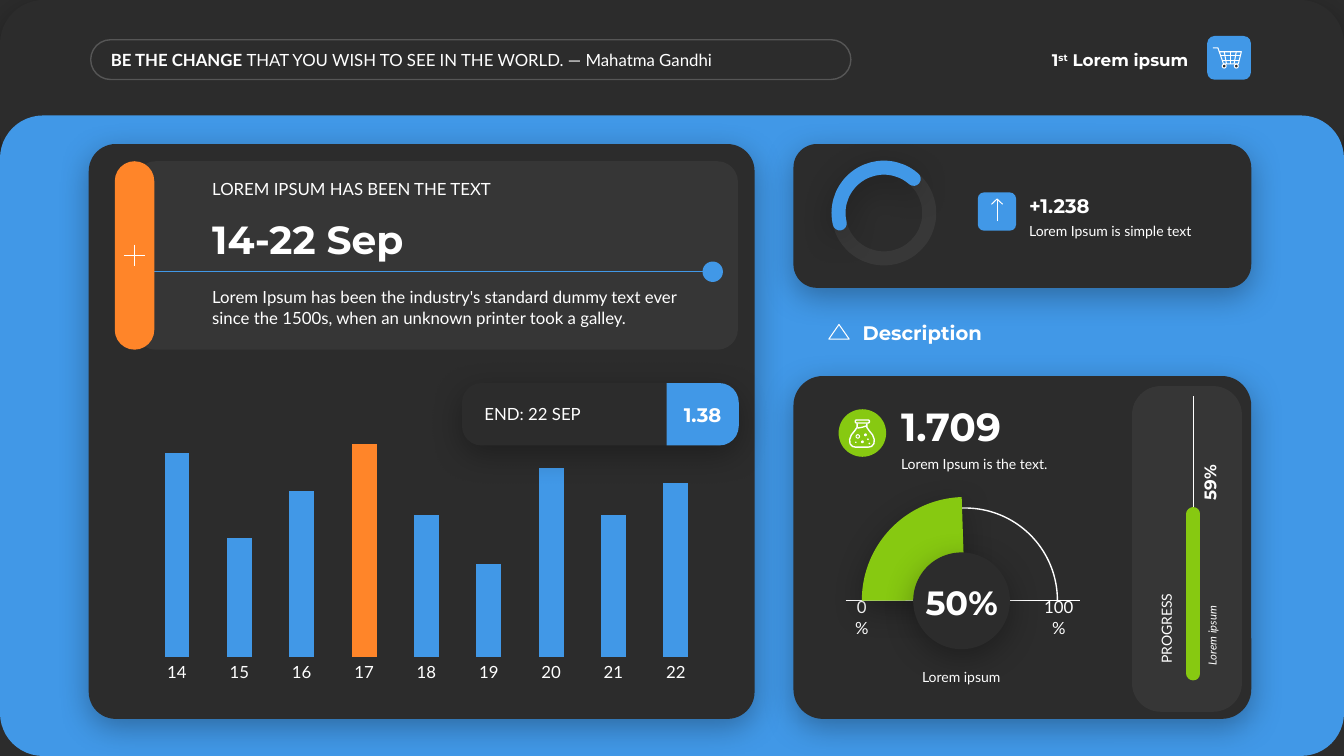
from lxml import etree
from pptx import Presentation
from pptx import util as u
from pptx.chart.data import CategoryChartData
from pptx.dml.color import RGBColor
from pptx.enum import chart as charts, shapes, text
from pptx.oxml import parse_xml
from pptx.oxml.ns import nsdecls, qn

DARK, BLUE, ORANGE, GREEN, WHITE = "2C2C2C", "4198E7", "FF8529", "87C911", "FFFFFF"
HEAD, BODY = "Montserrat", "Lato"
PRESET = shapes.MSO_SHAPE
ROUND = PRESET.ROUNDED_RECTANGLE
TOP, MIDDLE, BOTTOM = text.MSO_ANCHOR.TOP, text.MSO_ANCHOR.MIDDLE, text.MSO_ANCHOR.BOTTOM
LEFT, CENTER, RIGHT = text.PP_ALIGN.LEFT, text.PP_ALIGN.CENTER, text.PP_ALIGN.RIGHT
INSETS = (7.2, 3.6, 7.2, 3.6)


def rgb(color):
    return RGBColor.from_string(color)


def arc_angles(start, end):
    """Arc adjustments for two angles in degrees."""
    return start * 0.6, end * 0.6


class Dashboard:
    def __init__(self, slide):
        self.slide = slide
        self.items = slide.shapes
        slide.background.fill.solid()
        slide.background.fill.fore_color.rgb = rgb(DARK)

    def set_alpha(self, fill, percent):
        color = fill._xPr.find(".//" + qn("a:srgbClr"))
        etree.SubElement(color, qn("a:alpha"), val=str(percent * 1000))

    def paint(self, shape, fill=None, line=None, width=1, alpha=None, cap=None):
        """Alpha applies to the fill, or to the line when there is no fill."""
        shape.shadow.inherit = False
        if fill:
            shape.fill.solid()
            shape.fill.fore_color.rgb = rgb(fill)
        else:
            shape.fill.background()
        if line:
            shape.line.color.rgb = rgb(line)
            shape.line.width = u.Pt(width)
        else:
            shape.line.fill.background()
        if alpha:
            self.set_alpha(shape.fill if fill else shape.line.fill, alpha)
        if cap:
            shape.line._get_or_add_ln().set("cap", cap)

    def shape(self, preset, box, fill=None, adj=(), rotation=0, shadow=False, **look):
        item = self.items.add_shape(preset, *map(u.Pt, box))
        for i, value in enumerate(adj):
            item.adjustments[i] = value
        item.rotation = rotation
        self.paint(item, fill, **look)
        if shadow:
            effects = item._element.spPr.find(qn("a:effectLst"))
            effects.append(parse_xml(
                f'<a:outerShdw {nsdecls("a")} blurRad="{u.Pt(23)}" dist="{u.Pt(6)}" dir="5400000" '
                'algn="t" rotWithShape="0"><a:srgbClr val="000000"><a:alpha val="30000"/>'
                '</a:srgbClr></a:outerShdw>'))

    def line(self, start, end, color, width, cap="flat"):
        item = self.items.add_connector(shapes.MSO_CONNECTOR.STRAIGHT,
                                        *map(u.Pt, (*start, *end)))
        item.line.color.rgb = rgb(color)
        item.line.width = u.Pt(width)
        item.line._get_or_add_ln().set("cap", cap)
        etree.SubElement(item._element.spPr, qn("a:effectLst"))

    def strokes(self, *paths, width=0.75):
        """One icon drawn as open white polylines."""
        paths = [[tuple(map(u.Pt, point)) for point in path] for path in paths]
        builder = self.items.build_freeform(*paths[0][0])
        for i, path in enumerate(paths):
            if i:
                builder.move_to(*path[0])
            builder.add_line_segments(path[1:], close=False)
        self.paint(builder.convert_to_shape(), line=WHITE, width=width)

    def text(self, box, *parts, size=12, font=BODY, bold=False, italic=False, align=LEFT,
             anchor=TOP, insets=INSETS, rotation=0, grow=True):
        """Each part is a string or a (string, run attributes) pair."""
        item = self.items.add_textbox(*map(u.Pt, box))
        item.rotation = rotation
        frame = item.text_frame
        frame.word_wrap = True
        frame.auto_size = (text.MSO_AUTO_SIZE.SHAPE_TO_FIT_TEXT if grow
                           else text.MSO_AUTO_SIZE.NONE)
        frame.vertical_anchor = anchor
        (frame.margin_left, frame.margin_top,
         frame.margin_right, frame.margin_bottom) = map(u.Pt, insets)
        paragraph = frame.paragraphs[0]
        paragraph.alignment = align
        for part in parts:
            words, attributes = (part, {}) if isinstance(part, str) else part
            run = paragraph.add_run()
            run.text = words
            run.font.size, run.font.name = u.Pt(size), font
            run.font.bold, run.font.italic = bold, italic
            run.font.color.rgb = rgb(WHITE)
            for key, value in attributes.items():
                run._r.get_or_add_rPr().set(key, value)

    def columns(self, box, values, highlight):
        data = CategoryChartData()
        data.categories = list(values)
        data.add_series("Series 1", list(values.values()))
        chart = self.items.add_chart(charts.XL_CHART_TYPE.COLUMN_CLUSTERED,
                                     *map(u.Pt, box), data).chart
        chart.has_legend = chart.has_title = False
        chart.font.size, chart.font.name = u.Pt(12), BODY
        chart.font.color.rgb = rgb(WHITE)
        days, amounts = chart.category_axis, chart.value_axis
        days.major_tick_mark = charts.XL_TICK_MARK.NONE
        days.format.line.fill.background()
        amounts.visible = amounts.has_major_gridlines = False
        amounts.minimum_scale, amounts.maximum_scale = 0, 100
        plot = chart.plots[0]
        plot.gap_width, plot.vary_by_categories = 150, False
        series = plot.series[0]
        point = series.points[list(values).index(highlight)]
        for part, color in ((series, BLUE), (point, ORANGE)):
            part.format.fill.solid()
            part.format.fill.fore_color.rgb = rgb(color)
        area = chart._chartSpace.chart.plotArea
        for old in area.findall(qn("c:layout")):
            area.remove(old)
        sides = "".join(f'<c:{tag} val="{value}"/>' for tag, value in (
            ("layoutTarget", "inner"), ("xMode", "edge"), ("yMode", "edge"),
            ("x", 0.02), ("y", 0.11), ("w", 0.96), ("h", 0.78)))
        area.insert(0, parse_xml(f'<c:layout {nsdecls("c")}><c:manualLayout>{sides}'
                                 '</c:manualLayout></c:layout>'))


def draw_header(board):
    board.shape(ROUND, (0, 0, 960, 125), DARK, [0.25], shadow=True)
    board.shape(ROUND, (0, 82.5, 960, 457.5), BLUE, [0.067])
    board.shape(ROUND, (64.8, 28.4, 543, 28.4), adj=[0.5], line=WHITE, alpha=20)
    board.text((76.3, 31.9, 523, 21.8), ("BE THE CHANGE ", {"b": "1"}),
               "THAT YOU WISH TO SEE IN THE WORLD. ― Mahatma Gandhi",
               anchor=MIDDLE, insets=(2.9, 3.6, 2.9, 3.6))
    board.text((712, 31.9, 144, 21.8), "1", ("st", {"baseline": "30000"}), " Lorem ipsum",
               font=HEAD, bold=True, align=RIGHT, anchor=MIDDLE)
    board.shape(ROUND, (862.3, 25.7, 31.2, 31.2), BLUE)
    board.strokes([(866.3, 34.2), (870, 34.2), (874, 45.7), (884.6, 45.7), (886.7, 37), (871, 37)],
                  [(872, 40), (886, 40)], [(873, 43), (885.3, 43)],
                  [(874.5, 37), (876.1, 45.7)], [(878.8, 37), (878.8, 45.7)],
                  [(883.1, 37), (881.5, 45.7)])
    for wheel in (874.4, 883.1):
        board.shape(PRESET.OVAL, (wheel - 1.4, 45.8, 2.8, 2.8), DARK, line=WHITE, width=0.75)


def draw_period(board):
    board.shape(ROUND, (63.4, 102.9, 475.6, 410.6), DARK, [0.047], shadow=True)
    board.shape(ROUND, (96.5, 115.2, 430.6, 134.6), WHITE, [0.109], alpha=5)
    board.text((144.5, 201.6, 367, 36), "Lorem Ipsum has been the industry's standard dummy text "
               "ever since the 1500s, when an unknown printer took a galley.")
    board.text((144.5, 150, 367, 41), "14-22 Sep", size=28, font=HEAD, bold=True, anchor=BOTTOM)
    board.text((144.5, 124, 367, 21.8), "LOREM IPSUM HAS BEEN THE TEXT", anchor=BOTTOM)
    board.line((103.7, 194.1), (502, 194.1), BLUE, 0.5)
    board.shape(PRESET.OVAL, (501.8, 186.8, 14.6, 14.6), BLUE)
    board.shape(ROUND, (82, 115.2, 28.2, 134.6), ORANGE, [0.5])
    board.strokes([(88.4, 182.5), (103.8, 182.5)], [(96.1, 174.8), (96.1, 190.2)])
    board.columns((95.8, 295.9, 417.6, 195.1),
                  {"14": 96, "15": 56, "16": 78, "17": 100, "18": 67,
                   "19": 44, "20": 89, "21": 67, "22": 82}, highlight="17")
    board.shape(ROUND, (330, 273.6, 197.5, 44.6), DARK, [0.311], shadow=True)
    board.text((339, 285, 141, 21.8), "END: 22 SEP", anchor=MIDDLE)
    board.shape(PRESET.ROUND_2_SAME_RECTANGLE, (479.6, 270.1, 44.6, 51.6), BLUE,
                [0.311, 0], rotation=90)
    board.text((476, 283.8, 51.8, 24.2), "1.38", size=14, font=HEAD, bold=True,
               align=CENTER, anchor=MIDDLE, insets=(2.9, 3.6, 2.9, 3.6))


def draw_growth(board):
    board.shape(ROUND, (566.8, 102.9, 327, 102.7), DARK, [0.163], shadow=True)
    ring = (599, 119.8, 64.8, 64.8)
    board.shape(PRESET.OVAL, ring, line=WHITE, width=10, alpha=5)
    board.shape(PRESET.ARC, ring, adj=arc_angles(166.7, 311.2), line=BLUE, width=10,
                cap="rnd", shadow=True)
    board.shape(ROUND, (698.4, 137.4, 27.4, 27.4), BLUE)
    board.strokes([(712.2, 158.2), (712.2, 142.2)],
                  [(708.2, 146), (712.2, 142.2), (716.2, 146)])
    label_insets = (0, 3.6, 0, 3.6)
    board.text((735.1, 155.5, 142, 19.4), "Lorem Ipsum is simple text", size=10,
               insets=label_insets)
    board.text((735.1, 134.6, 142, 24.2), "+1.238", size=14, font=HEAD, bold=True,
               anchor=BOTTOM, insets=label_insets)
    board.text((609.1, 225.4, 238, 24.2), "Description", size=14, font=HEAD, bold=True,
               anchor=MIDDLE)
    board.shape(PRESET.ISOSCELES_TRIANGLE, (592, 231.8, 14.6, 10.5), line=WHITE, width=0.75)


def draw_flask(board):
    board.shape(PRESET.OVAL, (599, 292.3, 34, 34), GREEN)
    middle = 615.7
    half = [(3.5, 302.4), (3.5, 305.3), (5.4, 308), (7.6, 310.7), (8.8, 314),
            (8.5, 317), (6.8, 318.9), (4.5, 319.4)]
    board.strokes([(middle - dx, y) for dx, y in half]
                  + [(middle + dx, y) for dx, y in reversed(half)],
                  [(612.5, 305.8), (616, 305.2), (619, 304.2)], width=1)
    board.shape(ROUND, (610.9, 300, 10.2, 2.2), adj=[0.5], line=WHITE)
    board.shape(PRESET.OVAL, (611.5, 310.5, 2.5, 2.5), line=WHITE, width=0.75)
    for x, y, size in ((617.2, 309.6, 2), (615, 314.6, 2), (619.4, 313.2, 1.2),
                       (620.4, 316.2, 1.2), (610.8, 315.4, 1)):
        board.shape(PRESET.OVAL, (x, y, size, size), WHITE)


def draw_share(board):
    board.shape(ROUND, (566.8, 268.6, 327, 244.9), DARK, [0.086], shadow=True)
    board.shape(ROUND, (808.6, 275.8, 78.5, 232.6), WHITE, [0.261], alpha=5)
    board.text((636.5, 321.8, 129, 19.4), "Lorem Ipsum is the text.", size=10)
    board.text((636.5, 283.7, 129, 41), "1.709", size=28, font=HEAD, bold=True, anchor=BOTTOM)
    draw_flask(board)
    board.shape(PRESET.ARC, (623.5, 362.9, 131.8, 131.8), adj=arc_angles(179.82, 0), line=WHITE)
    board.line((604.1, 429.1), (771.8, 429.1), WHITE, 1)
    for left, width, limit in ((608.4, 14.4, "0%"), (743, 26.6, "100%")):
        board.text((left, 434.9, width, 12.2), limit, align=CENTER, anchor=MIDDLE,
                   insets=(0, 0, 0, 0), grow=False)
    board.shape(PRESET.ARC, (615.6, 355, 147.6, 147.6), GREEN, arc_angles(179.82, 268.07),
                shadow=True)
    board.text((599.8, 473.8, 173.5, 19.4), "Lorem ipsum", size=10, align=CENTER)
    board.shape(PRESET.OVAL, (652.3, 394.6, 69.1, 69.1), DARK, shadow=True)
    board.text((648, 411.8, 77.8, 36.4), "50%", size=24, font=HEAD, bold=True,
               align=CENTER, anchor=BOTTOM)


def draw_progress(board):
    foot = (852.5, 481)
    board.line(foot, (852.5, 283), WHITE, 0.5)
    board.line(foot, (852.5, 367.2), GREEN, 10, cap="rnd")
    board.text((797, 403.2, 138.2, 17.3), "Lorem ipsum", size=8, italic=True, rotation=270,
               insets=(5.8, 3.6, 7.2, 3.6))
    board.text((828.7, 318.2, 70.6, 21.8), "59%", font=HEAD, bold=True, anchor=BOTTOM,
               rotation=270, insets=(7.2, 3.6, 2.9, 3.6))
    board.text((763.9, 402.5, 138.2, 19.4), "PROGRESS", size=10, anchor=BOTTOM, rotation=270)


def main():
    deck = Presentation()
    deck.slide_width, deck.slide_height = u.Pt(960), u.Pt(540)
    board = Dashboard(deck.slides.add_slide(deck.slide_layouts[6]))
    for draw in (draw_header, draw_period, draw_growth, draw_share, draw_progress):
        draw(board)
    deck.save("out.pptx")


if __name__ == "__main__":
    main()
